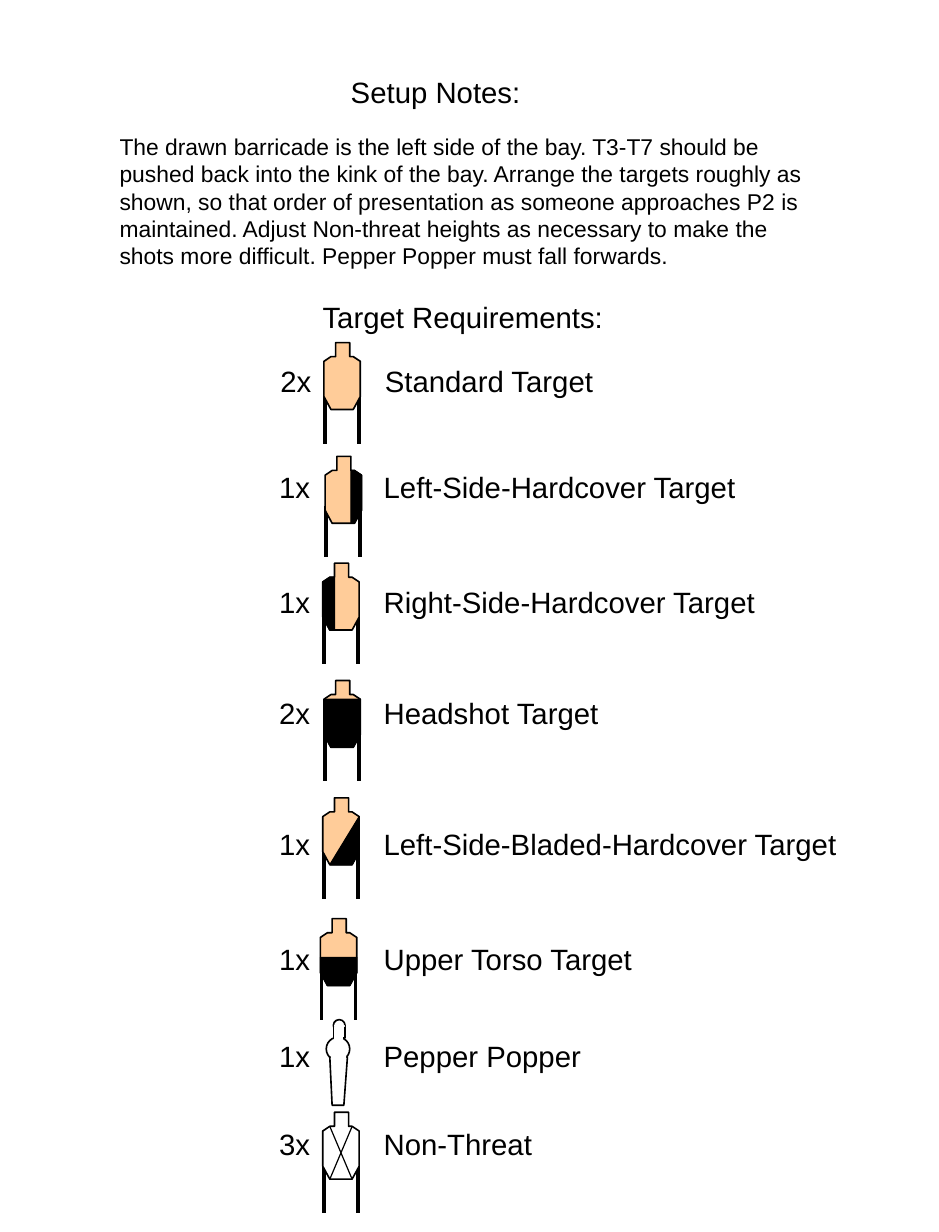
from lxml import etree
from pptx import Presentation
from pptx.dml.color import RGBColor
from pptx.enum.shapes import MSO_CONNECTOR, MSO_SHAPE
from pptx.enum.text import MSO_AUTO_SIZE
from pptx.oxml.ns import qn
from pptx.util import Inches, Pt

STRAIGHT = MSO_CONNECTOR.STRAIGHT
OVAL = MSO_SHAPE.OVAL
RECTANGLE = MSO_SHAPE.RECTANGLE
GROW = MSO_AUTO_SIZE.SHAPE_TO_FIT_TEXT

COLORS = {"black": "000000", "white": "FFFFFF", "cardboard": "FFCC99"}
FONT = "Arial"
LABEL_TAB = 0.89

NOTES = (
    "The drawn barricade is the left side of the bay. T3-T7 should be pushed back "
    "into the kink of the bay. Arrange the targets roughly as shown, so that order "
    "of presentation as someone approaches P2 is maintained. Adjust Non-threat "
    "heights as necessary to make the shots more difficult. Pepper Popper must fall "
    "forwards."
)

TORSO = [
    (0.1, 0), (0.22, 0), (0.22, 0.12), (0.25, 0.12), (0.31, 0.16), (0.31, 0.46),
    (0.25, 0.57), (0.06, 0.57), (0, 0.46), (0, 0.16), (0.06, 0.12), (0.1, 0.12),
]
RIGHT_STRIP = [(0.22, 0.12), (0.22, 0.57), (0.25, 0.57), (0.31, 0.46), (0.31, 0.16), (0.25, 0.12)]
LEFT_STRIP = [(0.1, 0.12), (0.1, 0.57), (0.06, 0.57), (0, 0.46), (0, 0.16), (0.06, 0.12)]
BELOW_HEAD = [(0, 0.16), (0.31, 0.16), (0.31, 0.46), (0.25, 0.57), (0.06, 0.57), (0, 0.46)]
DIAGONAL = [(0.31, 0.16), (0.31, 0.46), (0.25, 0.57), (0.06, 0.57)]
LOWER_TORSO = [(0, 0.33), (0.31, 0.33), (0.31, 0.46), (0.25, 0.57), (0.06, 0.57), (0, 0.46)]

TARGET_ROWS = [
    ("2x", "Standard Target", (2.29, 3.05, 2.89, 0.4), (2.76, 2.92), None),
    ("1x", "Left-Side-Hardcover Target", (2.28, 3.95, 4.19, 0.4), (2.77, 3.89), RIGHT_STRIP),
    ("1x", "Right-Side-Hardcover Target", (2.28, 4.93, 4.29, 0.4), (2.75, 4.8), LEFT_STRIP),
    ("2x", "Headshot Target", (2.28, 5.88, 2.95, 0.4), (2.76, 5.8), BELOW_HEAD),
    ("1x", "Left-Side-Bladed-Hardcover Target", (2.28, 6.99, 5.06, 0.4), (2.75, 6.8), DIAGONAL),
    ("1x", "Upper Torso Target", (2.28, 7.97, 3.24, 0.4), (2.73, 7.83), LOWER_TORSO),
]


def color(name):
    return RGBColor.from_string(COLORS[name])


def add_text(slide, box, text, size, wrap=True, tab=None):
    shape = slide.shapes.add_textbox(*map(Inches, box))
    frame = shape.text_frame
    frame.word_wrap = wrap
    frame.auto_size = GROW
    paragraph = frame.paragraphs[0]
    if tab:
        properties = paragraph._p.get_or_add_pPr()
        tabs = etree.SubElement(properties, qn("a:tabLst"))
        etree.SubElement(tabs, qn("a:tab"), pos=str(Inches(tab)), algn="l")
    run = paragraph.add_run()
    run.text = text
    run.font.name = FONT
    run.font.size = Pt(size)
    run.font.color.rgb = color("black")


def style(shape, fill, line="black", width=1):
    shape.shadow.inherit = False
    shape.fill.solid()
    shape.fill.fore_color.rgb = color(fill)
    if line:
        shape.line.color.rgb = color(line)
        shape.line.width = Pt(width)
    else:
        shape.line.fill.background()


def add_outline(group, origin, points, fill, width=1):
    left, top = origin
    corners = [(Inches(left + x), Inches(top + y)) for x, y in points]
    builder = group.shapes.build_freeform(*corners[0])
    builder.add_line_segments(corners[1:], close=True)
    style(builder.convert_to_shape(), fill, width=width)


def add_line(group, origin, start, end, width):
    left, top = origin
    ends = [left + start[0], top + start[1], left + end[0], top + end[1]]
    connector = group.shapes.add_connector(STRAIGHT, *map(Inches, ends))
    connector.line.color.rgb = color("black")
    connector.line.width = Pt(width)
    etree.SubElement(connector._element.spPr, qn("a:effectLst"))


def add_target(slide, origin, fill="cardboard", hardcover=None, crossed=False):
    group = slide.shapes.add_group_shape()
    for x in (0.01, 0.3):
        add_line(group, origin, (x, 0.42), (x, 0.86), 2.25)
    add_outline(group, origin, TORSO, fill)
    if hardcover:
        add_outline(group, origin, hardcover, "black", width=0)
    if crossed:
        add_line(group, origin, (0.25, 0.12), (0.06, 0.57), 0.75)
        add_line(group, origin, (0.06, 0.12), (0.25, 0.57), 0.75)


def add_popper(slide, origin):
    group = slide.shapes.add_group_shape()
    left, top = origin

    def add_part(kind, x, y, width, height, line="black"):
        box = (left + x, top + y, width, height)
        style(group.shapes.add_shape(kind, *map(Inches, box)), "white", line)

    add_part(OVAL, 0.06, 0, 0.1, 0.1)
    add_part(OVAL, 0, 0.15, 0.2, 0.2)
    add_outline(group, origin, [(0.03, 0.32), (0.18, 0.32), (0.15, 0.73), (0.05, 0.73)], "white")
    add_part(RECTANGLE, 0.06, 0.06, 0.1, 0.1)
    add_part(RECTANGLE, 0.04, 0.31, 0.13, 0.02, None)
    add_part(RECTANGLE, 0.07, 0.15, 0.07, 0.02, "white")
    add_part(RECTANGLE, 0.07, 0.05, 0.08, 0.01, "white")


def add_label(slide, box, count, name):
    add_text(slide, box, f"{count}\t{name}", 18, tab=LABEL_TAB)


def add_setup_notes(slide):
    add_text(slide, (2.89, 0.58, 1.66, 0.4), "Setup Notes:", 18, wrap=False)
    add_text(slide, (0.92, 1.08, 6.17, 1.51), NOTES, 14)


def add_target_requirements(slide):
    add_text(slide, (2.65, 2.5, 2.7, 0.4), "Target Requirements:", 18, wrap=False)
    for count, name, box, origin, hardcover in TARGET_ROWS:
        add_target(slide, origin, hardcover=hardcover)
        add_label(slide, box, count, name)
    add_popper(slide, (2.78, 8.69))
    add_label(slide, (2.28, 8.8, 2.8, 0.4), "1x", "Pepper Popper")
    add_target(slide, (2.75, 9.48), fill="white", crossed=True)
    add_label(slide, (2.28, 9.55, 2.38, 0.4), "3x", "Non-Threat")


def main():
    presentation = Presentation()
    presentation.slide_width = Inches(8)
    presentation.slide_height = Inches(10.5)
    slide = presentation.slides.add_slide(presentation.slide_layouts[6])
    add_setup_notes(slide)
    add_target_requirements(slide)
    presentation.save("out.pptx")


if __name__ == "__main__":
    main()
